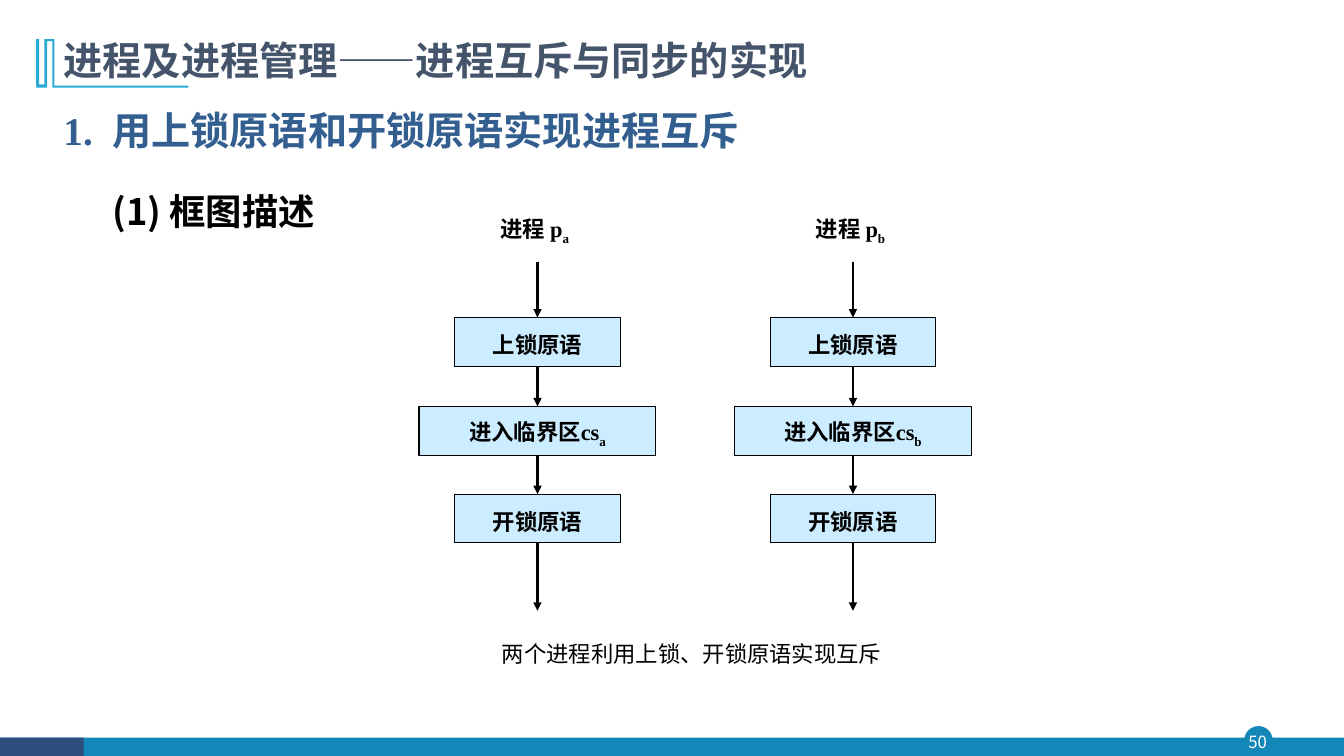
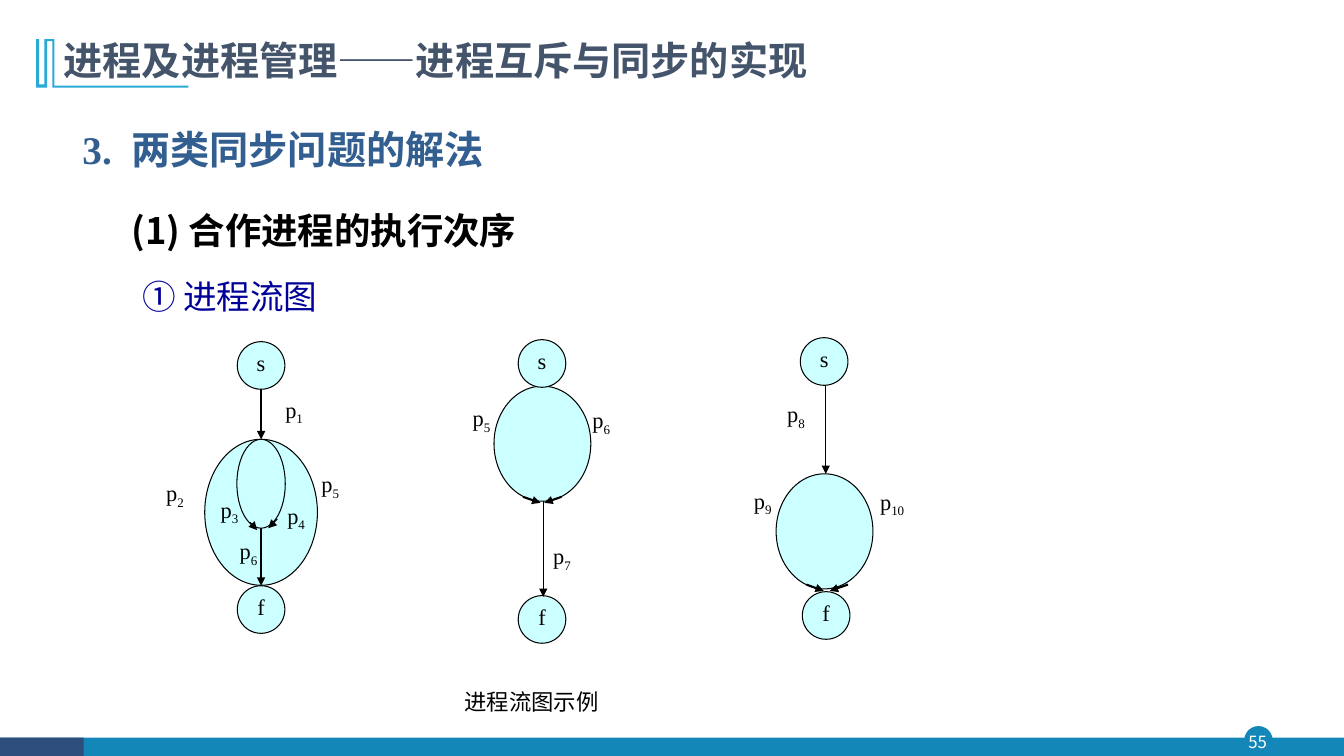
from lxml.etree import SubElement
from pptx import Presentation
from pptx.dml.color import RGBColor
from pptx.enum.shapes import MSO_CONNECTOR, MSO_SHAPE
from pptx.enum.text import MSO_ANCHOR, MSO_AUTO_SIZE, PP_ALIGN
from pptx.oxml.ns import qn
from pptx.util import Cm, Pt

WHITE = RGBColor(0xFF, 0xFF, 0xFF)
BLACK = RGBColor(0x00, 0x00, 0x00)
TEAL = RGBColor(0x13, 0x87, 0xB7)
NAVY = RGBColor(0x2E, 0x4E, 0x7E)
SKY = RGBColor(0x28, 0xA9, 0xD6)
SLATE = RGBColor(0x44, 0x54, 0x6A)
HEADING_BLUE = RGBColor(0x33, 0x5F, 0x90)
DEEP_BLUE = RGBColor(0x00, 0x00, 0x99)
STEP_FILL = RGBColor(0xCC, 0xEC, 0xFF)
NODE_FILL = RGBColor(0xCC, 0xFF, 0xFF)

SANS = "Noto Sans CJK SC"
SERIF = "Times New Roman"
TITLE = "进程及进程管理——进程互斥与同步的实现"

# Corner mark outline, in hundredths of a centimetre
CORNER_MARK = [
    (137, 99), (137, 216), (475, 216), (475, 221), (132, 221), (132, 104),
    (119, 104), (119, 221), (91, 221), (91, 99), (99, 99), (99, 213),
    (112, 213), (112, 99),
]

NODE_SIZE = 1.2

# Lengths in cm from each graph's top left corner.
# nodes: text, left, top; ovals: left, top, width, height;
# arrows: start x, start y, end x, end y, points; labels: index, left, top
FLOW_GRAPHS = [
    {
        "origin": (3.94, 8.61),
        "nodes": [("s", 2.04, 0), ("f", 2.04, 6.15)],
        "ovals": [(1.22, 2.46, 2.84, 3.68), (2.03, 2.46, 1.22, 2.24)],
        "arrows": [(2.64, 1.2, 2.64, 2.46, 1), (2.36, 4.55, 2.54, 4.75, 0.75),
                   (3.05, 4.47, 2.82, 4.7, 0.75), (2.64, 4.7, 2.64, 6.15, 1)],
        "labels": [("1", 3, 1.24), ("2", 0, 3.35), ("3", 1.37, 3.76),
                   ("4", 3.05, 3.91), ("5", 3.91, 3.12), ("6", 1.85, 4.8)],
    },
    {
        "origin": (11.66, 8.56),
        "nodes": [("s", 1.4, 0), ("f", 1.4, 6.45)],
        "ovals": [(0.79, 1.17, 2.44, 2.9)],
        "arrows": [(1.52, 3.96, 1.96, 4.11, 1.5), (2.49, 3.96, 2.06, 4.11, 1.5),
                   (2.03, 4.07, 2.03, 6.48, 0.75)],
        "labels": [("5", 0, 1.5), ("6", 3.02, 1.55), ("7", 2.03, 4.98)],
    },
    {
        "origin": (18.75, 8.51),
        "nodes": [("s", 1.42, 0), ("f", 1.47, 6.4)],
        "ovals": [(0.81, 3.43, 2.44, 2.9)],
        "arrows": [(2.62, 6.22, 2.16, 6.38, 1.5), (1.57, 6.22, 2.01, 6.38, 1.5),
                   (2.06, 1.2, 2.06, 3.43, 0.75)],
        "labels": [("8", 0.84, 1.45), ("9", 0, 3.63), ("10", 3.18, 3.66)],
    },
]


def style_span(span, size, color, font, bold):
    span.font.size = Pt(size)
    span.font.bold = bold
    span.font.color.rgb = color
    span.font.name = font
    latin = span.font._element.find(qn("a:latin"))
    east_asian = SubElement(latin.getparent(), qn("a:ea"))
    east_asian.set("typeface", SANS)
    latin.addnext(east_asian)


def write(para, text, size=16, color=BLACK, font=SERIF, bold=False, subscript="",
          spacing=None, align=None, indent=0):
    """Fill a paragraph with text and an optional trailing subscript."""
    para.text = text
    if subscript:
        para.add_run().text = subscript
    for span in para.runs:
        style_span(span, size, color, font, bold)
    if subscript:
        para.runs[-1].font._element.set("baseline", "-25000")
    para.line_spacing = spacing
    para.alignment = align
    if indent:
        para._p.get_or_add_pPr().set("marL", str(Cm(indent)))


def add_box(page, left, top, width, height):
    box = page.shapes.add_textbox(Cm(left), Cm(top), Cm(width), Cm(height))
    box.text_frame.word_wrap = True
    return box


def add_solid(page, kind, left, top, width, height, fill, outline=None):
    solid = page.shapes.add_shape(kind, Cm(left), Cm(top), Cm(width), Cm(height))
    paint(solid, fill, outline)
    return solid


def paint(solid, fill, outline=None):
    solid.shadow.inherit = False
    solid.fill.solid()
    solid.fill.fore_color.rgb = fill
    if outline is None:
        solid.line.fill.background()
    else:
        solid.line.color.rgb = outline
        solid.line.width = Pt(0.75)


def add_arrow(page, start_x, start_y, end_x, end_y, points):
    arrow = page.shapes.add_connector(
        MSO_CONNECTOR.STRAIGHT, Cm(start_x), Cm(start_y), Cm(end_x), Cm(end_y))
    arrow.line.color.rgb = BLACK
    arrow.line.width = Pt(points)
    properties = arrow.element.spPr
    SubElement(properties.find(qn("a:ln")), qn("a:tailEnd")).set("type", "triangle")
    SubElement(properties, qn("a:effectLst"))
    return arrow


def decorate_layout(layout, page):
    """Draw the bands and corner mark on a page, then move them to its layout."""
    badge = add_solid(page, MSO_SHAPE.OVAL, 31.37, 18.31, 0.69, 0.69, TEAL, TEAL)
    band = add_solid(page, MSO_SHAPE.RECTANGLE, 0, 18.59, 33.87, 0.46, TEAL)
    band_end = add_solid(page, MSO_SHAPE.RECTANGLE, 0, 18.59, 2.11, 0.46, NAVY)
    outline = page.shapes.build_freeform(*CORNER_MARK[0], scale=Cm(0.01))
    outline.add_line_segments(CORNER_MARK[1:], close=True)
    mark = outline.convert_to_shape()
    paint(mark, SKY)
    for part in (badge, band, band_end, mark):
        layout.shapes.element.append(part.element)


def set_title_and_number(page, number):
    title = page.shapes.title
    title.left, title.top, title.width, title.height = (
        Cm(1.35), Cm(0.86), Cm(26.64), Cm(1.42))
    frame = title.text_frame
    frame.auto_size = MSO_AUTO_SIZE.NONE
    frame.vertical_anchor = MSO_ANCHOR.MIDDLE
    write(frame.paragraphs[0], TITLE, 28, SLATE, SANS, True,
          spacing=0.9, align=PP_ALIGN.LEFT)

    frame = add_box(page, 31.29, 18.31, 0.81, 0.79).text_frame
    frame.margin_left = frame.margin_right = frame.margin_top = frame.margin_bottom = 0
    frame.vertical_anchor = MSO_ANCHOR.MIDDLE
    write(frame.paragraphs[0], str(number), 12, WHITE, SANS, align=PP_ALIGN.CENTER)


def add_headings(page, left, top, heading, subheading):
    frame = add_box(page, left, top, 23.2, 3.63).text_frame
    write(frame.paragraphs[0], heading, 28, HEADING_BLUE, bold=True, spacing=1.2)
    para = frame.add_paragraph()
    write(para, subheading, 26, font=SANS, bold=True, spacing=1.5, indent=1.23)
    para.space_before = Pt(10)


def add_caption(page, left, top, width, text):
    frame = add_box(page, left, top, width, 1.07).text_frame
    write(frame.paragraphs[0], text, spacing=1.2)


def add_process_column(page, left, top, name):
    """One process: label, then lock, critical section and unlock steps."""
    width = 5.97
    middle = left + width / 2
    frame = add_box(page, left + 1.52, top, 3.15, 0.94).text_frame
    frame.vertical_anchor = MSO_ANCHOR.BOTTOM
    write(frame.paragraphs[0], "进程 p", bold=True, subscript=name, indent=0.28)

    steps = [("上锁原语", "", 2.62, 4.17), ("进入临界区cs", name, 4.86, width),
             ("开锁原语", "", 7.07, 4.17)]
    previous = None
    for text, subscript, offset, step_width in steps:
        step = add_solid(page, MSO_SHAPE.RECTANGLE, middle - step_width / 2,
                         top + offset, step_width, 1.23, STEP_FILL, BLACK)
        step.text_frame.vertical_anchor = MSO_ANCHOR.MIDDLE
        write(step.text_frame.paragraphs[0], text, bold=True, subscript=subscript,
              spacing=1.2, align=PP_ALIGN.CENTER)
        arrow = add_arrow(page, middle, top + 1.22, middle, top + offset, 2)
        if previous is not None:
            arrow.begin_connect(previous, 2)
        arrow.end_connect(step, 0)
        previous = step
    exit_arrow = add_arrow(page, middle, top + 8.3, middle, top + 10.01, 2)
    exit_arrow.begin_connect(previous, 2)


def add_flow_graph(page, origin, nodes, ovals, arrows, labels):
    left, top = origin
    for x, y, width, height in ovals:
        add_solid(page, MSO_SHAPE.OVAL, left + x, top + y, width, height,
                  NODE_FILL, BLACK)
    for text, x, y in nodes:
        node = add_solid(page, MSO_SHAPE.OVAL, left + x, top + y,
                         NODE_SIZE, NODE_SIZE, NODE_FILL, BLACK)
        frame = node.text_frame
        frame.margin_left = frame.margin_right = frame.margin_top = 0
        frame.margin_bottom = Cm(0.15)
        frame.vertical_anchor = MSO_ANCHOR.MIDDLE
        write(frame.paragraphs[0], text, align=PP_ALIGN.CENTER)
    for start_x, start_y, end_x, end_y, points in arrows:
        add_arrow(page, left + start_x, top + start_y, left + end_x, top + end_y, points)
    for index, x, y in labels:
        frame = add_box(page, left + x, top + y, 1.2, 1.3).text_frame
        frame.word_wrap = False
        write(frame.paragraphs[0], "p", subscript=index)


def fill_lock_page(page):
    set_title_and_number(page, 50)
    add_headings(page, 1.35, 2.31, "1.  用上锁原语和开锁原语实现进程互斥", "(1) 框图描述")
    for column, name in enumerate("ab"):
        add_process_column(page, 10.56 + 7.95 * column, 5.38, name)
    add_caption(page, 12.4, 15.88, 10.49, "两个进程利用上锁、开锁原语实现互斥")


def fill_flow_page(page):
    set_title_and_number(page, 55)
    add_headings(page, 1.83, 2.79, "3.  两类同步问题的解法", "(1) 合作进程的执行次序")
    frame = add_box(page, 3.33, 6.63, 8.92, 1.47).text_frame
    write(frame.paragraphs[0], "① 进程流图", 24, DEEP_BLUE, spacing=1.2)
    for graph in FLOW_GRAPHS:
        add_flow_graph(page, **graph)
    add_caption(page, 11.46, 17.09, 5.21, "进程流图示例")


def main():
    deck = Presentation()
    deck.slide_width, deck.slide_height = Cm(33.87), Cm(19.05)
    layout = deck.slide_layouts[5]
    lock_page = deck.slides.add_slide(layout)
    flow_page = deck.slides.add_slide(layout)
    decorate_layout(layout, lock_page)
    fill_lock_page(lock_page)
    fill_flow_page(flow_page)
    deck.save("out.pptx")


if __name__ == "__main__":
    main()
